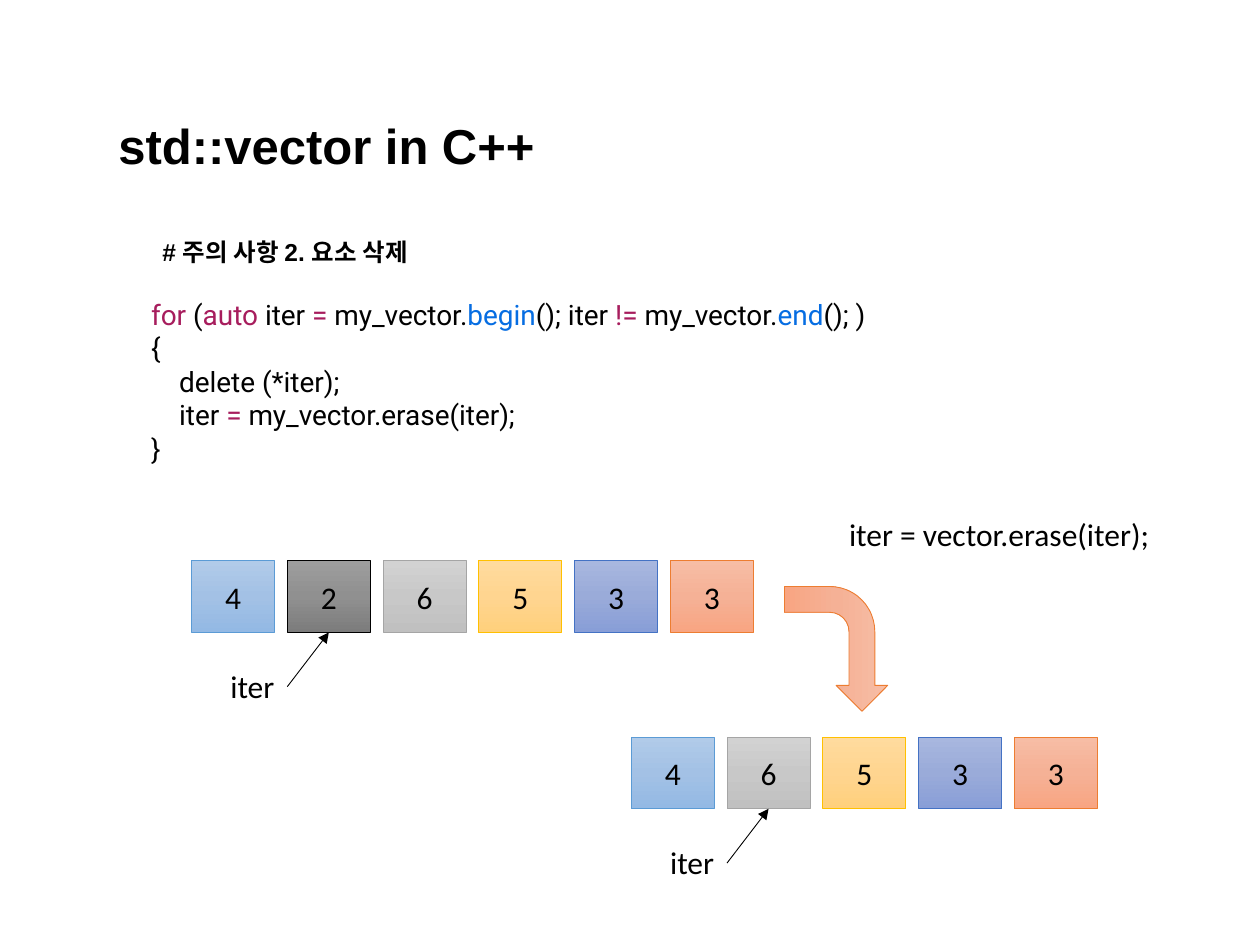
from copy import deepcopy
from dataclasses import dataclass

from lxml.etree import SubElement
from pptx import Presentation
from pptx.dml.color import RGBColor
from pptx.enum.shapes import MSO_CONNECTOR, MSO_SHAPE
from pptx.enum.text import MSO_ANCHOR, PP_ALIGN
from pptx.oxml.ns import qn
from pptx.util import Pt

BLACK = RGBColor(0x00, 0x00, 0x00)
WHITE = RGBColor(0xFF, 0xFF, 0xFF)
CODE = RGBColor(0x01, 0x01, 0x01)
KEYWORD = RGBColor(0xA7, 0x1D, 0x5D)
METHOD = RGBColor(0x06, 0x6D, 0xE2)

CELL_WIDTH, CELL_HEIGHT, CELL_PITCH = 47.5, 41, 54.72


@dataclass(frozen=True)
class Theme:
    top: RGBColor
    middle: RGBColor
    bottom: RGBColor
    line: RGBColor


def theme(*codes: str) -> Theme:
    return Theme(*map(RGBColor.from_string, codes))


BLUE = theme("B1CBE9", "A3C1E5", "93B9E4", "5B9BD5")
DARK = theme("9D9D9D", "909090", "7C7C7C", "000000")
GREY = theme("D2D2D2", "C8C8C8", "C0C0C0", "A5A5A5")
GOLD = theme("FFDB9E", "FFD590", "FFD07C", "FFC000")
INDIGO = theme("A8B7DF", "9AABD9", "889ED7", "4472C4")
ORANGE = theme("F7BDA5", "F5B196", "F8A582", "ED7D31")


@dataclass(frozen=True)
class Cell:
    value: str
    theme: Theme


@dataclass(frozen=True)
class Row:
    left: float
    top: float
    cells: list[Cell]
    iter_index: int = 1


@dataclass(frozen=True)
class CodeLine:
    spans: list[tuple[str, RGBColor]]
    indent: float = 0


BEFORE = [Cell("4", BLUE), Cell("2", DARK), Cell("6", GREY),
          Cell("5", GOLD), Cell("3", INDIGO), Cell("3", ORANGE)]
AFTER = [cell for cell in BEFORE if cell.theme != DARK]
ROWS = [Row(109.44, 320.4, BEFORE), Row(360.72, 421.2, AFTER)]

LISTING = [
    CodeLine([("for", KEYWORD), (" (", CODE), ("auto ", KEYWORD), ("iter ", CODE),
              ("= ", KEYWORD), ("my_vector.", CODE), ("begin", METHOD),
              ("(); iter ", CODE), ("!= ", KEYWORD), ("my_vector.", CODE),
              ("end", METHOD), ("(); )", CODE)]),
    CodeLine([("{", CODE)]),
    CodeLine([("delete (*iter);", CODE)], indent=16),
    CodeLine([("iter ", CODE), ("= ", KEYWORD), ("my_vector.erase(iter);", CODE)], indent=16),
    CodeLine([("}", CODE)]),
]


def style(span, name: str, size: float, color: RGBColor = BLACK, bold: bool = False) -> None:
    span.font.name = name
    span.font.size = Pt(size)
    span.font.bold = bold
    span.font.color.rgb = color


def add_label(page, text: str, left: float, top: float, width: float, height: float,
              name: str = "Calibri", size: float = 18, bold: bool = False) -> None:
    box = page.shapes.add_textbox(Pt(left), Pt(top), Pt(width), Pt(height))
    box.text_frame.word_wrap = False
    box.text_frame.text = text
    style(box.text_frame.paragraphs[0].runs[0], name, size, bold=bold)


def paint(shape, colors: Theme) -> None:
    shape.shadow.inherit = False
    shape.fill.gradient()
    shape.fill.gradient_angle = 270
    stop_list = shape._element.spPr.find(qn("a:gradFill")).find(qn("a:gsLst"))
    stop_list.insert(1, deepcopy(stop_list[0]))
    shades = (colors.top, colors.middle, colors.bottom)
    for stop, position, shade in zip(shape.fill.gradient_stops, (0, 0.5, 1), shades):
        stop.position = position
        stop.color.rgb = shade
    shape.line.color.rgb = colors.line
    shape.line.width = Pt(0.5)


def add_cell(page, cell: Cell, left: float, top: float):
    box = page.shapes.add_shape(MSO_SHAPE.RECTANGLE, Pt(left), Pt(top),
                                Pt(CELL_WIDTH), Pt(CELL_HEIGHT))
    paint(box, cell.theme)
    box.text_frame.vertical_anchor = MSO_ANCHOR.MIDDLE
    box.text_frame.text = cell.value
    para = box.text_frame.paragraphs[0]
    para.alignment = PP_ALIGN.CENTER
    style(para.runs[0], "Calibri", 18)
    return box


def add_pointer(page, cell_box, left: float, bottom: float) -> None:
    arrow = page.shapes.add_connector(MSO_CONNECTOR.STRAIGHT, Pt(left), Pt(bottom + 31),
                                      Pt(left + CELL_WIDTH / 2), Pt(bottom))
    arrow.end_connect(cell_box, 2)
    arrow.line.color.rgb = BLACK
    arrow.line.width = Pt(0.5)
    SubElement(arrow.line._get_or_add_ln(), qn("a:tailEnd"), type="triangle")
    SubElement(arrow._element.spPr, qn("a:effectLst"))
    add_label(page, "iter", left - 39.6, bottom + 16.2, 48.2, 28.8)


def add_row(page, row: Row) -> None:
    boxes = [add_cell(page, cell, row.left + index * CELL_PITCH, row.top)
             for index, cell in enumerate(row.cells)]
    add_pointer(page, boxes[row.iter_index], row.left + row.iter_index * CELL_PITCH,
                row.top + CELL_HEIGHT)


def add_title(page, text: str) -> None:
    title = page.shapes.title
    title.left, title.top, title.width, title.height = Pt(60.5), Pt(62.6), Pt(475), Pt(41)
    title.text_frame.text = text
    title.text_frame.vertical_anchor = MSO_ANCHOR.TOP
    para = title.text_frame.paragraphs[0]
    para.alignment = PP_ALIGN.LEFT
    style(para.runs[0], "Arial", 28, bold=True)


def add_listing(page, lines: list[CodeLine]) -> None:
    box = page.shapes.add_shape(MSO_SHAPE.RECTANGLE, Pt(86.4), Pt(169.2), Pt(549.4), Pt(97.2))
    box.shadow.inherit = False
    box.fill.solid()
    box.fill.fore_color.rgb = WHITE
    box.line.fill.background()
    frame = box.text_frame
    frame.margin_left = frame.margin_top = frame.margin_right = frame.margin_bottom = 0
    frame.vertical_anchor = MSO_ANCHOR.MIDDLE
    for index, line in enumerate(lines):
        para = frame.add_paragraph() if index else frame.paragraphs[0]
        para.alignment = PP_ALIGN.LEFT
        para._p.get_or_add_pPr().set("marL", str(Pt(line.indent)))
        for text, color in line.spans:
            span = para.add_run()
            span.text = text
            style(span, "Roboto", 16, color)


def add_erase_arrow(page) -> None:
    arrow = page.shapes.add_shape(MSO_SHAPE.BENT_ARROW, Pt(442.1), Pt(341.3), Pt(71.3), Pt(59))
    arrow.rotation = 90
    paint(arrow, ORANGE)


def main() -> None:
    deck = Presentation()
    deck.slide_width, deck.slide_height = Pt(720), Pt(540)
    page = deck.slides.add_slide(deck.slide_layouts[5])
    add_title(page, "std::vector in C++")
    add_label(page, "# 주의 사항 2. 요소 삭제", 85.7, 131.8, 173.5, 24.5, "Arial", 14, bold=True)
    add_listing(page, LISTING)
    for row in ROWS:
        add_row(page, row)
    add_erase_arrow(page)
    add_label(page, "iter = vector.erase(iter);", 478.1, 290.9, 188, 28.8)
    deck.save("out.pptx")


if __name__ == "__main__":
    main()
